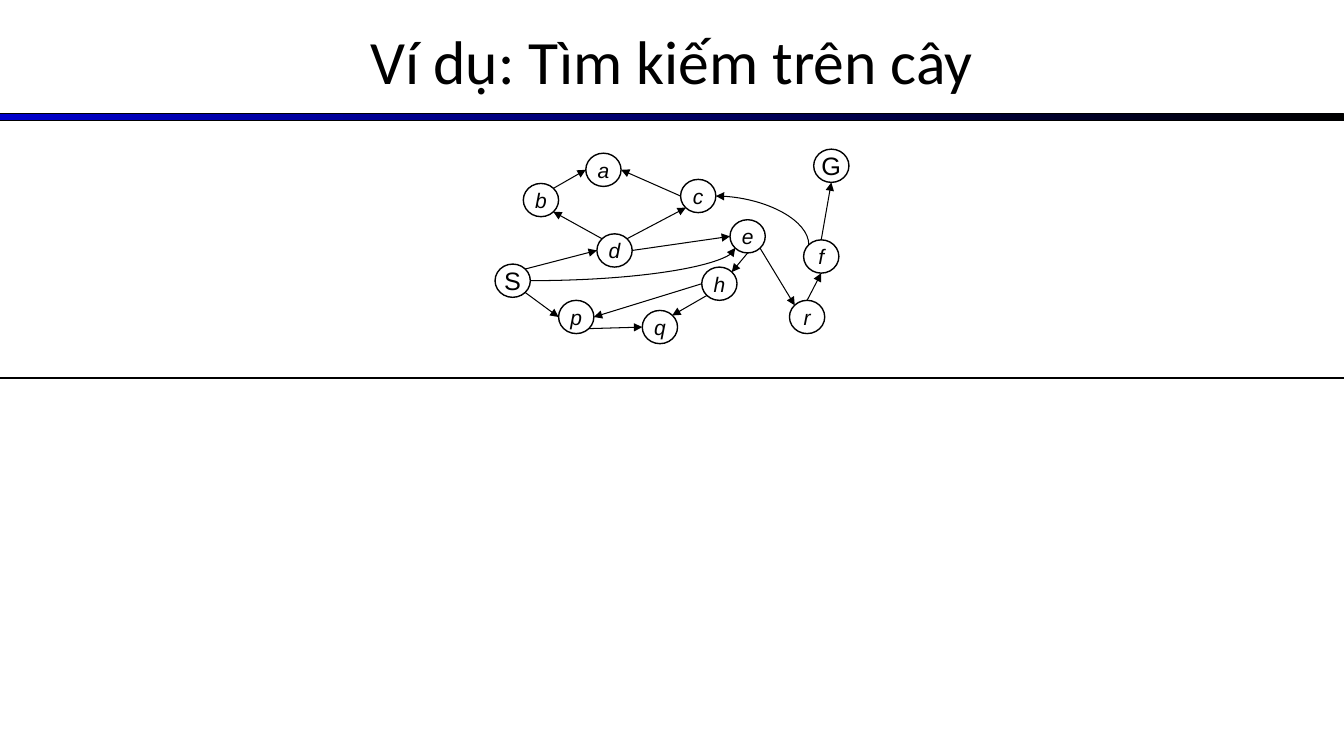
"""Build a slide that shows a search graph under a title and a gradient bar."""
import pptx
import pptx.dml.color
import pptx.enum.shapes
import pptx.enum.text
import pptx.oxml
import pptx.oxml.ns
import pptx.util
from lxml import etree

Inches = pptx.util.Inches
Pt = pptx.util.Pt
MSO_SHAPE = pptx.enum.shapes.MSO_SHAPE
MSO_CONNECTOR = pptx.enum.shapes.MSO_CONNECTOR
MSO_ANCHOR = pptx.enum.text.MSO_ANCHOR
PP_ALIGN = pptx.enum.text.PP_ALIGN
qn = pptx.oxml.ns.qn

BLACK = pptx.dml.color.RGBColor(0x00, 0x00, 0x00)
BLUE = pptx.dml.color.RGBColor(0x00, 0x00, 0xCC)

SLIDE_W, SLIDE_H = 13.33, 7.5
NODE_W, NODE_H = 0.35, 0.33
DIAGONAL = 0.35
SITES = {
    "top": (0, -0.5), "bottom": (0, 0.5), "left": (-0.5, 0), "right": (0.5, 0),
    "top left": (-DIAGONAL, -DIAGONAL), "top right": (DIAGONAL, -DIAGONAL),
    "bottom left": (-DIAGONAL, DIAGONAL), "bottom right": (DIAGONAL, DIAGONAL),
}

TITLE_FONT = {"name": "Calibri", "size": Pt(44)}
END_FONT = {"name": "Arial", "size": Pt(18)}
NODE_FONT = {"name": "Arial", "size": Pt(15), "italic": True}

NODES = {
    "S": (4.91, 2.62), "G": (8.07, 1.48), "d": (5.92, 2.32), "b": (5.19, 1.82),
    "p": (5.54, 2.98), "q": (6.37, 3.08), "c": (6.75, 1.78), "e": (7.24, 2.18),
    "h": (6.96, 2.65), "a": (5.81, 1.52), "f": (7.97, 2.38), "r": (7.83, 2.98),
}
EDGES = [
    ("S", "bottom right", "p", "left"),
    ("p", "bottom right", "q", "left"),
    ("h", "bottom left", "q", "top right"),
    ("h", "left", "p", "right"),
    ("e", "bottom", "h", "top right"),
    ("e", "bottom right", "r", "top left"),
    ("r", "top", "f", "bottom"),
    ("f", "top", "G", "bottom"),
    ("S", "top right", "d", "left"),
    ("d", "top left", "b", "bottom right"),
    ("b", "top right", "a", "left"),
    ("c", "left", "a", "right"),
    ("d", "top right", "c", "bottom left"),
    ("d", "right", "e", "left"),
]


def site(node, side):
    x, y = NODES[node]
    dx, dy = SITES[side]
    return x + NODE_W * (0.5 + dx), y + NODE_H * (0.5 + dy)


class GraphSlide:
    def __init__(self, prs):
        self.slide = prs.slides.add_slide(prs.slide_layouts[5])
        self.color = BLACK
        self.line_width = Pt(0.75)
        self.node_line_width = Pt(1)

    def label(self, tf, text, font):
        tf.vertical_anchor = MSO_ANCHOR.MIDDLE
        p = tf.paragraphs[0]
        p.alignment = PP_ALIGN.CENTER
        r = p.add_run()
        r.text = text
        for key, value in font.items():
            setattr(r.font, key, value)
        r.font.color.rgb = self.color

    def title(self, text, left, top, width, height):
        sp = self.slide.shapes.title
        box = {"left": left, "top": top, "width": width, "height": height}
        for key, value in box.items():
            setattr(sp, key, Inches(value))
        self.label(sp.text_frame, text, TITLE_FONT)

    def bar(self, left, top, width, height):
        sp = self.slide.shapes.add_shape(
            MSO_SHAPE.RECTANGLE, Inches(left), Inches(top), Inches(width), Inches(height))
        sp.shadow.inherit = False
        sp.fill.gradient()
        sp.fill.gradient_angle = 0
        for stop, position, color in zip(sp.fill.gradient_stops, (0, 1), (BLUE, BLACK)):
            stop.position = position
            stop.color.rgb = color
        sp.line.color.rgb = self.color
        sp.line.width = self.line_width

    def node(self, shapes, name):
        left, top = NODES[name]
        sp = shapes.add_shape(
            MSO_SHAPE.FLOWCHART_CONNECTOR,
            Inches(left), Inches(top), Inches(NODE_W), Inches(NODE_H))
        sp.shadow.inherit = False
        sp.fill.background()
        sp.line.color.rgb = self.color
        sp.line.width = self.node_line_width
        tf = sp.text_frame
        tf.word_wrap = False
        for margin in ("margin_left", "margin_top", "margin_right", "margin_bottom"):
            setattr(tf, margin, 0)
        self.label(tf, name, END_FONT if name in "SG" else NODE_FONT)

    def line(self, shapes, start, end, kind=MSO_CONNECTOR.STRAIGHT, arrow=False):
        cxn = shapes.add_connector(kind, *(Inches(v) for v in (*start, *end)))
        cxn.line.color.rgb = self.color
        cxn.line.width = self.line_width
        spPr = cxn._element.spPr
        if arrow:
            etree.SubElement(spPr.find(qn("a:ln")), qn("a:tailEnd"), type="triangle")
        etree.SubElement(spPr, qn("a:effectLst"))
        return cxn

    def curve(self, shapes, start, end, starts_vertical=False):
        if starts_vertical:
            cx, cy = (start[0] + end[0]) / 2, (start[1] + end[1]) / 2
            start, end = ((cx + y - cy, cy - x + cx) for x, y in (start, end))
        cxn = self.line(shapes, start, end, MSO_CONNECTOR.CURVE, arrow=True)
        spPr = cxn._element.spPr
        spPr.find(qn("a:prstGeom")).set("prst", "curvedConnector2")
        if starts_vertical:
            spPr.find(qn("a:xfrm")).set("rot", str(90 * 60000))


def main():
    prs = pptx.Presentation()
    prs.slide_width = Inches(SLIDE_W)
    prs.slide_height = Inches(SLIDE_H)
    s = GraphSlide(prs)
    s.bar(0, 1.13, SLIDE_W, 0.07)
    s.title("Ví dụ: Tìm kiếm trên cây", 0, -0.03, SLIDE_W, 1.25)
    s.line(s.slide.shapes, (0, 3.75), (SLIDE_W, 3.75))
    graph = s.slide.shapes.add_group_shape().shapes
    for name in NODES:
        s.node(graph, name)
    for tail, tail_side, head, head_side in EDGES:
        s.line(graph, site(tail, tail_side), site(head, head_side), arrow=True)
    s.curve(graph, site("f", "top left"), site("c", "right"), starts_vertical=True)
    s.curve(graph, site("S", "right"), site("e", "bottom left"))
    prs.save("out.pptx")


if __name__ == "__main__":
    main()
